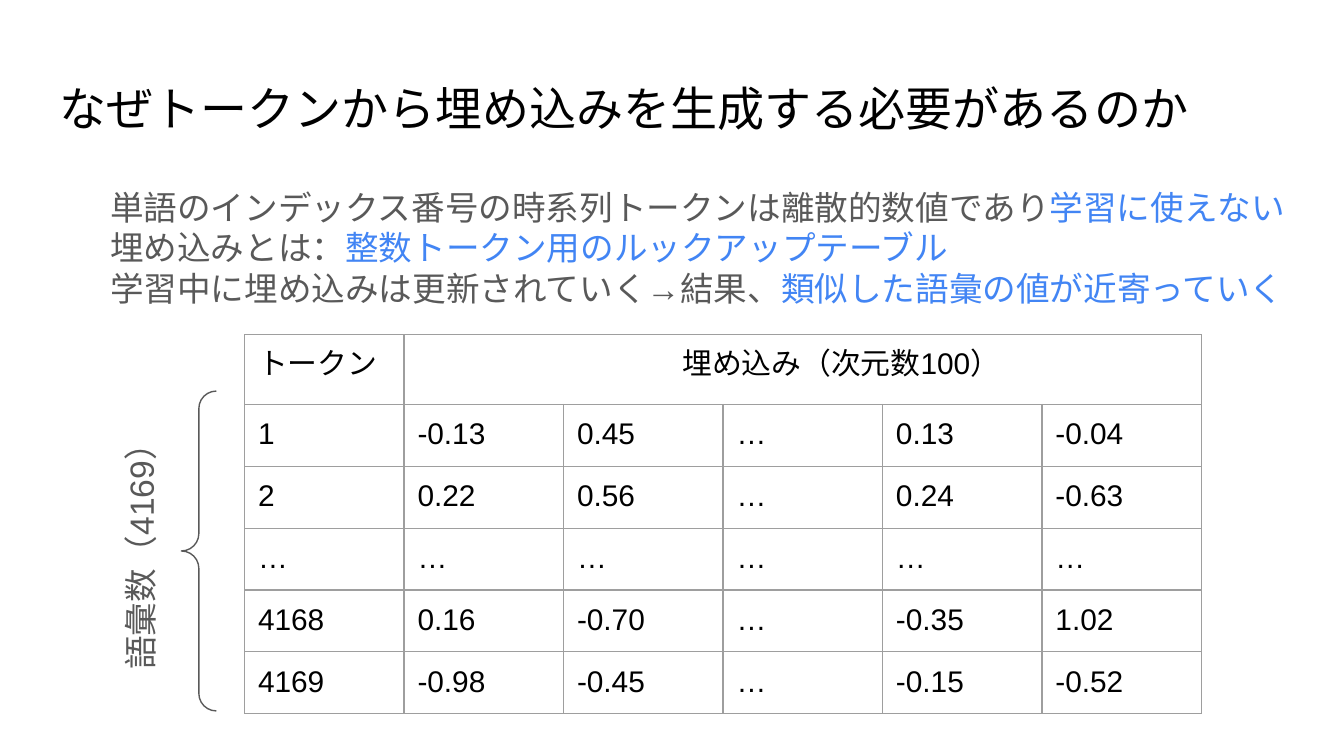
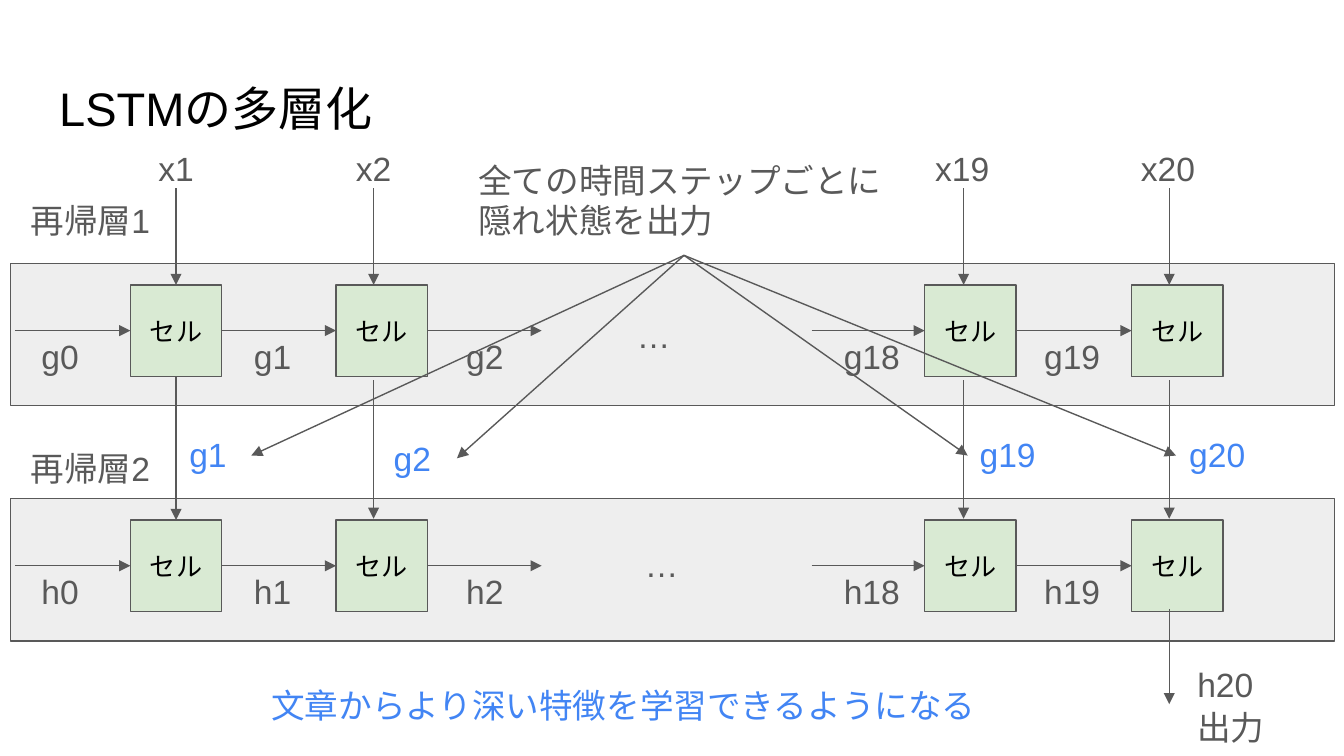
from lxml import etree
from pptx import Presentation
from pptx.dml.color import RGBColor
from pptx.enum import shapes, text
from pptx.oxml import ns
from pptx.util import Inches, Pt

FONT = "Arial"
BLACK = RGBColor(0x00, 0x00, 0x00)
GRAY = RGBColor(0x59, 0x59, 0x59)
BLUE = RGBColor(0x42, 0x85, 0xF4)
BAND_FILL = RGBColor(0xEE, 0xEE, 0xEE)
CELL_FILL = RGBColor(0xD9, 0xEA, 0xD3)
TABLE_BORDER = "9E9E9E"
LEFT, CENTER = text.PP_ALIGN.LEFT, text.PP_ALIGN.CENTER
TOP, MIDDLE = text.MSO_ANCHOR.TOP, text.MSO_ANCHOR.MIDDLE


def write(frame, lines, size=18, align=LEFT, anchor=TOP):
    """Fill a frame with lines, each a list of (words, colour) runs."""
    frame.word_wrap = True
    frame.auto_size = text.MSO_AUTO_SIZE.NONE
    frame.vertical_anchor = anchor
    frame.margin_left = frame.margin_right = Inches(0.1)
    frame.margin_top = frame.margin_bottom = Inches(0.1)
    for number, line in enumerate(lines):
        para = frame.add_paragraph() if number else frame.paragraphs[0]
        para.alignment = align
        for words, color in line:
            span = para.add_run()
            span.text = words
            span.font.name = FONT
            span.font.size = Pt(size)
            span.font.color.rgb = color
            east_asian = etree.SubElement(span.font._element, ns.qn("a:ea"))
            east_asian.set("typeface", FONT)


def add_arrow(page, start, end, source=None, target=None):
    """Draw an arrow; source and target are (shape, side) pairs to join."""
    arrow = page.shapes.add_connector(
        shapes.MSO_CONNECTOR.STRAIGHT, *map(Inches, (*start, *end)))
    if source:
        arrow.begin_connect(*source)
    if target:
        arrow.end_connect(*target)
    arrow.line.color.rgb = GRAY
    arrow.line.width = Pt(0.75)
    etree.SubElement(arrow.line._get_or_add_ln(), ns.qn("a:tailEnd")).set("type", "triangle")
    etree.SubElement(arrow._element.spPr, ns.qn("a:effectLst"))


deck = Presentation()
deck.slide_width, deck.slide_height = Inches(10), Inches(5.625)

# Pages with their titles
pages = []
for heading in ("なぜトークンから埋め込みを生成する必要があるのか", "LSTMの多層化"):
    page = deck.slides.add_slide(deck.slide_layouts[5])
    title = page.shapes.title
    title.left, title.top = Inches(0.34), Inches(0.49)
    title.width, title.height = Inches(9.32), Inches(0.63)
    write(title.text_frame, [[(heading, BLACK)]], 25.2)
    pages.append(page)
embedding_page, lstm_page = pages

# Embedding table
rows = [
    ["トークン", "埋め込み（次元数100）", "", "", "", ""],
    ["1", "-0.13", "0.45", "…", "0.13", "-0.04"],
    ["2", "0.22", "0.56", "…", "0.24", "-0.63"],
    ["…"] * 6,
    ["4168", "0.16", "-0.70", "…", "-0.35", "1.02"],
    ["4169", "-0.98", "-0.45", "…", "-0.15", "-0.52"],
]
table = embedding_page.shapes.add_table(
    len(rows), 6, Inches(1.82), Inches(2.49), Inches(7.12), Inches(2.82)).table
table.first_row = table.horz_banding = False
for column in table.columns:
    column.width = Inches(1.187)
for row in table.rows:
    row.height = Inches(0.46)
table.rows[0].height = Inches(0.52)
table.cell(0, 1).merge(table.cell(0, 5))
for r, values in enumerate(rows):
    for c, value in enumerate(values):
        cell = table.cell(r, c)
        cell.margin_left = cell.margin_right = Inches(0.1)
        cell.margin_top = cell.margin_bottom = Inches(0.1)
        if value:
            write(cell.text_frame, [[(value, BLACK)]], 16)
        properties = cell._tc.get_or_add_tcPr()
        for side in ("lnL", "lnR", "lnT", "lnB"):
            border = etree.SubElement(properties, ns.qn("a:" + side), w=str(Pt(0.75)))
            fill = etree.SubElement(border, ns.qn("a:solidFill"))
            etree.SubElement(fill, ns.qn("a:srgbClr"), val=TABLE_BORDER)
        cell.fill.background()
table.cell(0, 1).margin_left = Inches(2.07)

# Explanation and vocabulary label
explanation = [
    [("単語のインデックス番号の時系列トークンは離散的数値であり", GRAY), ("学習に使えない", BLUE)],
    [("埋め込みとは：", GRAY), ("整数トークン用のルックアップテーブル", BLUE)],
    [("学習中に埋め込みは更新されていく→結果、", GRAY), ("類似した語彙の値が近寄っていく", BLUE)],
]
box = embedding_page.shapes.add_textbox(*map(Inches, (0.72, 1.29, 9.01, 1.11)))
write(box.text_frame, explanation)
box = embedding_page.shapes.add_textbox(*map(Inches, (-0.54, 3.83, 3.17, 0.5)))
box.rotation = 270
write(box.text_frame, [[("語彙数（4169）", GRAY)]], align=CENTER)

brace = embedding_page.shapes.add_shape(
    shapes.MSO_SHAPE.LEFT_BRACE, *map(Inches, (1.35, 2.91, 0.26, 2.38)))
brace.adjustments[0] = brace.adjustments[1] = 0.5
brace.shadow.inherit = False
brace.fill.background()
brace.line.color.rgb = GRAY
brace.line.width = Pt(0.75)

# Recurrent layers: a band, four cells and the arrows along them
labels = []
layers = []
for state, top in (("g", 1.96), ("h", 3.71)):
    blocks = [(0.08, top, 9.85, 1.06, BAND_FILL)]
    blocks += [(left, top + 0.16, 0.68, 0.68, CELL_FILL) for left in (0.97, 2.5, 6.88, 8.42)]
    cells = []
    for *place, color in blocks:
        block = lstm_page.shapes.add_shape(shapes.MSO_SHAPE.RECTANGLE, *map(Inches, place))
        block.shadow.inherit = False
        block.fill.solid()
        block.fill.fore_color.rgb = color
        block.line.color.rgb = GRAY
        block.line.width = Pt(0.75)
        if color == CELL_FILL:
            write(block.text_frame, [[("セル", BLACK)]], 14, CENTER, MIDDLE)
            cells.append(block)
    layers.append(cells)
    first, second, third, last = cells
    middle = top + 0.5
    for start, end, source, target in (
            (0.11, 0.97, None, first), (1.65, 2.5, first, second),
            (3.18, 4.03, second, None), (6.04, 6.88, None, third),
            (7.56, 8.42, third, last)):
        add_arrow(lstm_page, (start, middle), (end, middle),
                  source and (source, 3), target and (target, 1))
    for step, left in ((0, 0.21), (1, 1.79), (2, 3.37), (18, 6.18), (19, 7.67)):
        labels.append((f"{state}{step}", left, top + 0.44, 0.78, GRAY))

# Inputs, and outputs passed from layer 1 to layer 2
upper, lower = layers
add_arrow(lstm_page, (1.31, 1.4), (1.31, 2.12), target=(upper[0], 0))
add_arrow(lstm_page, (1.31, 2.8), (1.31, 3.87), (upper[0], 2), (lower[0], 0))
for x in (2.78, 7.17, 8.7):
    add_arrow(lstm_page, (x, 1.4), (x, 2.12))
    add_arrow(lstm_page, (x, 2.83), (x, 3.86))
add_arrow(lstm_page, (8.7, 4.53), (8.7, 5.24))

# Pointers from the note to each hidden state
for tip in ((1.87, 3.39), (3.4, 3.41), (7.2, 3.39), (8.75, 3.39)):
    add_arrow(lstm_page, (5.09, 1.9), tip)

# Labels
for step, left in ((1, 1.08), (2, 2.55), (19, 6.86), (20, 8.39)):
    labels.append((f"x{step}", left, 1, 0.72, GRAY))
for step, left, top in ((1, 1.31, 3.13), (2, 2.83, 3.16), (19, 7.19, 3.13), (20, 8.75, 3.13)):
    labels.append((f"g{step}", left, top, 0.72, BLUE))
labels += [
    ("再帰層1", 0.13, 1.39, 1.18, GRAY),
    ("再帰層2", 0.13, 3.23, 1.18, GRAY),
    ("…", 4.64, 2.24, 0.57, GRAY),
    ("…", 4.7, 3.95, 0.57, GRAY),
    ("h20", 8.81, 4.84, 0.72, GRAY),
    ("出力", 8.81, 5.16, 0.78, GRAY),
    ("文章からより深い特徴を学習できるようになる", 1.92, 5, 6.07, BLUE),
]
for words, left, top, width, color in labels:
    box = lstm_page.shapes.add_textbox(*map(Inches, (left, top, width, 0.5)))
    write(box.text_frame, [[(words, color)]])
box = lstm_page.shapes.add_textbox(*map(Inches, (3.46, 1.09, 3.25, 0.81)))
write(box.text_frame, [[("全ての時間ステップごとに", GRAY)], [("隠れ状態を出力", GRAY)]])

deck.save("out.pptx")
